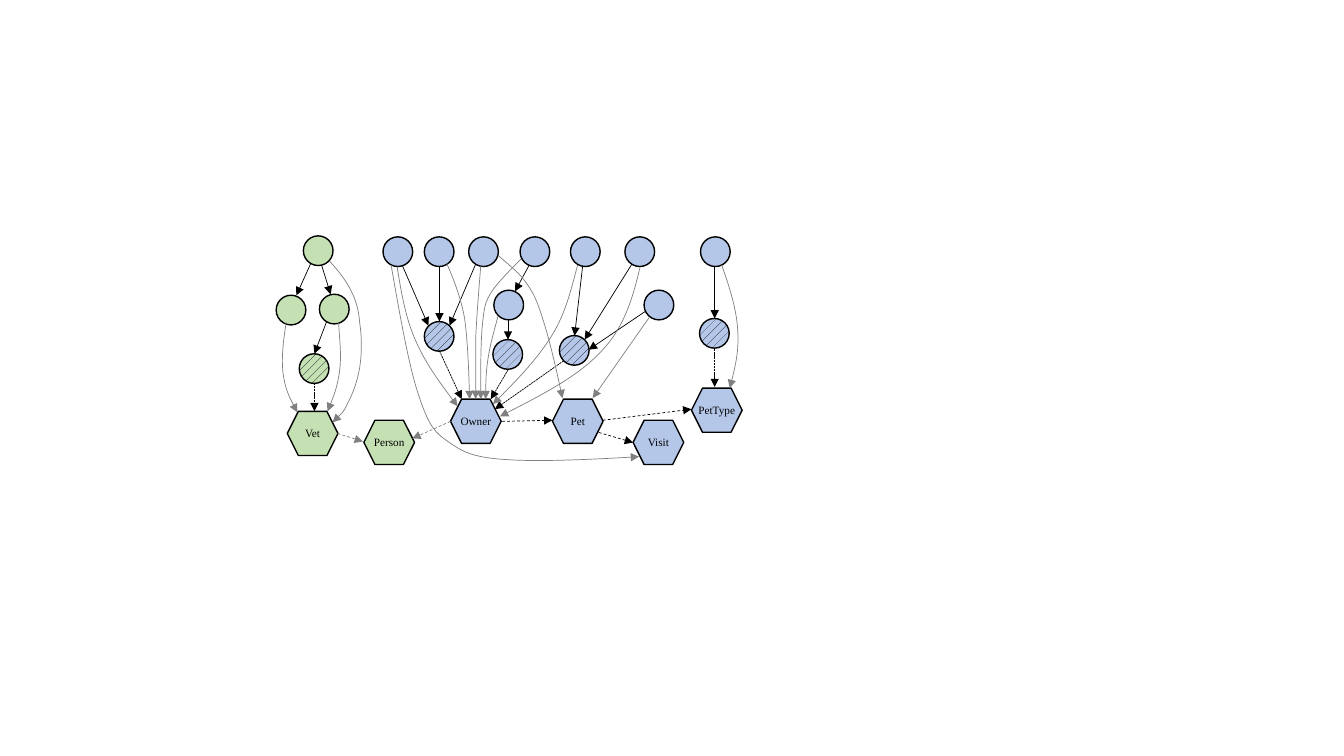
import pptx
import pptx.util
import pptx.dml.color
import pptx.enum.dml
import pptx.enum.shapes
import pptx.enum.text
import pptx.oxml.ns
import lxml.etree

Pt = pptx.util.Pt
RGB = pptx.dml.color.RGBColor.from_string
MSO_SHAPE = pptx.enum.shapes.MSO_SHAPE
MSO_LINE = pptx.enum.dml.MSO_LINE
qn = pptx.oxml.ns.qn

COLORS = {"blue": "B4C7E8", "green": "C5E1B4", "black": "000000", "gray": "808080"}
CIRCLE = 21.2
HEX_W, HEX_H = 36.2, 31.6


def write(sp, text, size=8, font="Times New Roman", color="black"):
    tf = sp.text_frame
    tf.margin_left = tf.margin_right = tf.margin_top = tf.margin_bottom = 0
    tf.word_wrap = False
    tf.vertical_anchor = pptx.enum.text.MSO_ANCHOR.MIDDLE
    p = tf.paragraphs[0]
    p.alignment = pptx.enum.text.PP_ALIGN.CENTER
    r = p.add_run()
    r.text = text
    r.font.size = Pt(size)
    r.font.name = font
    r.font.color.rgb = RGB(COLORS[color])


def make_arrow(sp, color, dash=None):
    sp.line.color.rgb = RGB(COLORS[color])
    sp.line.width = Pt(0.5)
    if dash:
        sp.line.dash_style = dash
    ln = sp.line._get_or_add_ln()
    lxml.etree.SubElement(ln, qn("a:tailEnd"), type="triangle")
    lxml.etree.SubElement(sp._element.spPr, qn("a:effectLst"))


prs = pptx.Presentation()
prs.slide_width, prs.slide_height = Pt(960), Pt(540)
s = prs.slides.add_slide(prs.slide_layouts[6])

# Circles: colour, hatched, centres
circles = [
    ("green", False, [(227.3, 179.1), (238.8, 220.8), (207.9, 221.5)]),
    ("blue", False, [(x, 179.8) for x in (284.2, 313.7, 345.4, 382.1, 418.1, 457, 511)]),
    ("blue", False, [(363.4, 217.9), (470.7, 217.9)]),
    ("green", True, [(224.4, 263.3)]),
    ("blue", True, [(313.7, 240.3), (410.2, 250.3), (362.7, 253.2), (510.3, 238.1)]),
]
for color, hatched, centres in circles:
    for x, y in centres:
        sp = s.shapes.add_shape(MSO_SHAPE.OVAL, Pt(x - CIRCLE / 2), Pt(y - CIRCLE / 2),
                                Pt(CIRCLE), Pt(CIRCLE))
        sp.shadow.inherit = False
        if hatched:
            sp.fill.patterned()
            sp.fill.pattern = pptx.enum.dml.MSO_PATTERN.PERCENT_20
            sp.fill.fore_color.rgb = RGB(COLORS["black"])
            sp.fill.back_color.rgb = RGB(COLORS[color])
        else:
            sp.fill.solid()
            sp.fill.fore_color.rgb = RGB(COLORS[color])
        sp.line.color.rgb = RGB(COLORS["black"])
        sp.line.width = Pt(1)

# Hexagons: label, colour, left, top
hexagons = [
    ("Vet", "green", 205.2, 293.8),
    ("Person", "green", 259.9, 300.2),
    ("Owner", "blue", 321.8, 285.1),
    ("Pet", "blue", 394.6, 285.1),
    ("Visit", "blue", 452.2, 300.2),
    ("PetType", "blue", 493.9, 277.2),
]
for label, color, x, y in hexagons:
    sp = s.shapes.add_shape(MSO_SHAPE.HEXAGON, Pt(x), Pt(y), Pt(HEX_W), Pt(HEX_H))
    sp.shadow.inherit = False
    sp.fill.solid()
    sp.fill.fore_color.rgb = RGB(COLORS[color])
    sp.line.color.rgb = RGB(COLORS["black"])
    sp.line.width = Pt(1)
    write(sp, label)

# Straight arrows: colour, dash, (x1, y1, x2, y2)
arrows = [
    ("black", None, [
        (233.3, 229.7, 224.6, 252.7), (229.7, 189.4, 236.2, 210.2),
        (221.8, 188.6, 211.7, 211), (287.3, 189.4, 306, 232.6),
        (339.8, 188.6, 321.1, 232.6), (313.9, 190.1, 313.9, 229.7),
        (510.5, 190.1, 510.5, 227.5), (362.9, 228.2, 362.9, 242.6),
        (416.2, 190.1, 410.4, 239.8), (451.4, 188.6, 417.6, 242.6),
        (460.8, 222.5, 420.5, 249.8), (378, 189.4, 367.9, 208.1)]),
    ("black", MSO_LINE.SQUARE_DOT, [
        (224.6, 273.6, 224.6, 293.8), (313.9, 250.6, 329.8, 285.1),
        (510.5, 249.1, 510.5, 276.5), (362.9, 264.2, 350.6, 285.1),
        (402.5, 257.8, 353.5, 292.3)]),
    ("black", MSO_LINE.DASH, [
        (358.6, 301, 394.6, 300.2), (427.7, 308.9, 452.2, 316.1),
        (430.6, 300.2, 493.9, 292.3)]),
    ("gray", MSO_LINE.DASH, [
        (241.2, 309.6, 259.2, 315.4), (321.8, 301, 294.5, 313.2)]),
    ("gray", None, [(463.7, 226.8, 423.4, 284.4)]),
]
for color, dash, lines in arrows:
    for ends in lines:
        sp = s.shapes.add_connector(pptx.enum.shapes.MSO_CONNECTOR.STRAIGHT,
                                    *[Pt(v) for v in ends])
        make_arrow(sp, color, dash)

# Curved arrows: start point, then three Bézier points per segment
curves = [
    # into Vet
    [(241.9, 230.4), (242.6, 242.6), (244.1, 254.2), (242.6, 265),
     (241.2, 275.8), (237.6, 285.1), (234, 293.8)],
    [(204.5, 230.4), (202.3, 243.4), (200.9, 256.3), (202.3, 267.1),
     (203.8, 277.9), (208.1, 286.6), (212.4, 294.5)],
    [(235.4, 186.5), (241.9, 193.7), (247.7, 200.9), (251.3, 208.8),
     (254.9, 216), (256.3, 222.5), (257, 231.1),
     (258.5, 240.5), (258.5, 252.7), (257, 262.1),
     (255.6, 271.4), (252, 281.5), (248.4, 288),
     (245.5, 294.5), (240, 299.5), (237.6, 301.7)],
    # into Owner
    [(319, 187.9), (324, 199.4), (329, 211.7), (331.9, 227.5),
     (334.1, 244.1), (334.8, 264.2), (335.5, 285.1)],
    [(343.4, 190.1), (342, 207.4), (340.6, 225.4), (339.8, 241.2),
     (339.8, 257), (339.8, 270.7), (339.8, 285.1)],
    [(372.2, 185), (364.3, 193), (356.4, 200.9), (351.4, 208.1),
     (347, 215.3), (346.3, 216.7), (344.9, 229.7),
     (343.4, 242.6), (343.4, 263.5), (343.4, 285.1)],
    [(355.7, 226.1), (352.8, 236.9), (349.9, 247), (348.5, 257),
     (347, 267.1), (347, 276.5), (347, 285.1)],
    [(412.6, 189.4), (408.2, 205.9), (404.6, 222.5), (394.6, 239),
     (384.5, 255.6), (368.6, 272.2), (352.1, 288.7)],
    [(283.7, 190.8), (286.6, 208.1), (289.4, 226.1), (296.6, 242.6),
     (303.8, 259.2), (315.4, 275), (326.9, 290.2)],
    [(457.2, 190.8), (452.2, 211.7), (446.4, 233.3), (429.8, 250.6),
     (413.3, 268.6), (385.2, 283), (357.1, 297.4)],
    # into PetType, Visit and Pet
    [(515.5, 189.4), (521.3, 205.2), (526.3, 221.8), (527, 236.2),
     (527.8, 250.6), (524.9, 263.5), (521.3, 277.2)],
    [(279.4, 189.4), (285.8, 226.1), (292.3, 262.8), (299.5, 283.7),
     (306.7, 304.6), (310.3, 308.9), (321.1, 316.1),
     (331.2, 323.3), (339.1, 326.9), (362.2, 328.3),
     (384.5, 329.8), (420.5, 328.3), (456.5, 326.2)],
    [(356.4, 182.9), (363.6, 189.4), (371.5, 195.1), (376.6, 203),
     (381.6, 210.2), (383.8, 215.3), (388.1, 229),
     (392.4, 242.6), (397.4, 263.5), (401.8, 284.4)],
]
for curve in curves:
    pts = [(Pt(x), Pt(y)) for x, y in curve]
    fb = s.shapes.build_freeform(*pts[0])
    fb.add_line_segments(pts[1:], close=False)
    sp = fb.convert_to_shape()
    sp.fill.background()
    make_arrow(sp, "gray")
    # Merge every three line steps into one Bézier segment
    steps = list(sp._element.iter(qn("a:lnTo")))
    for a, b, c in zip(steps[::3], steps[1::3], steps[2::3]):
        a.tag = qn("a:cubicBezTo")
        for step in (b, c):
            a.append(step[0])
            step.getparent().remove(step)

prs.save("out.pptx")
